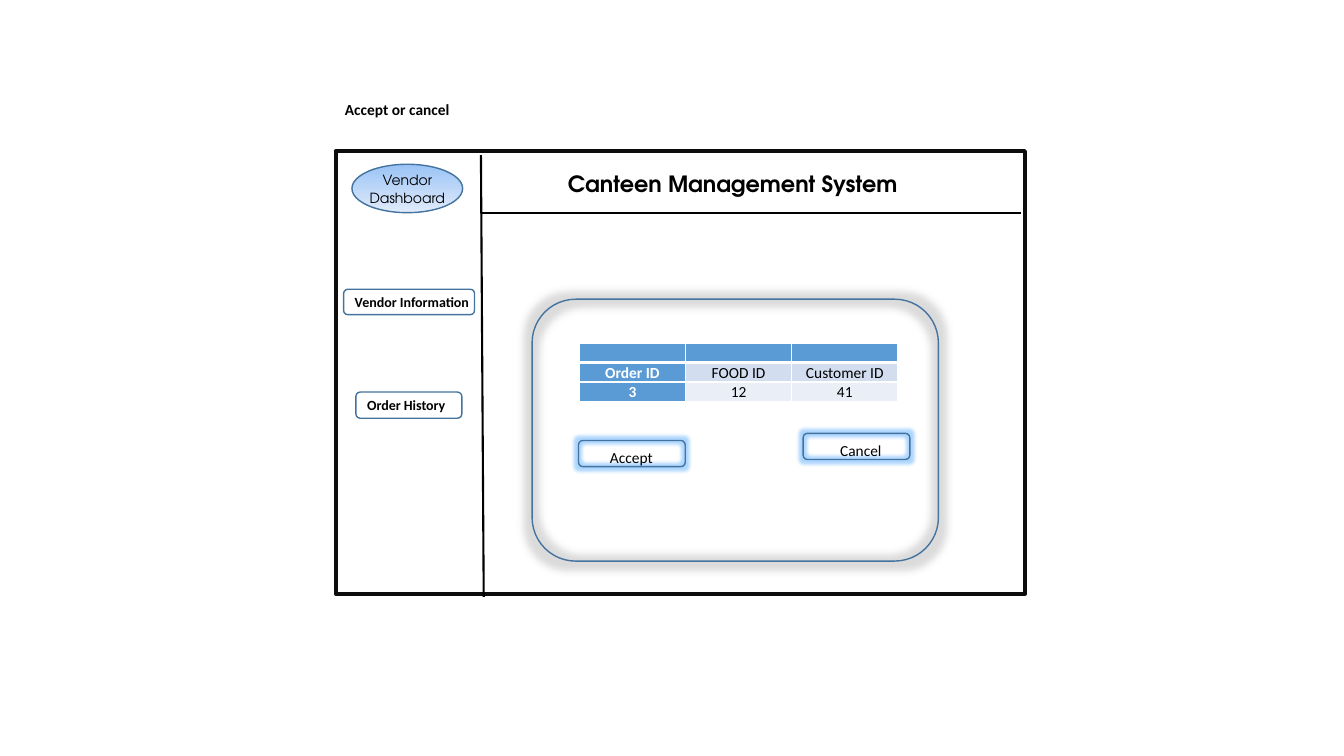
from dataclasses import dataclass
from typing import NamedTuple

from lxml.etree import SubElement
from pptx import Presentation
from pptx.dml.color import RGBColor
from pptx.enum.shapes import MSO_CONNECTOR, MSO_SHAPE
from pptx.enum.text import MSO_ANCHOR, PP_ALIGN
from pptx.oxml.ns import qn
from pptx.util import Cm, Pt


@dataclass(frozen=True)
class Theme:
    """Colours, fonts and type sizes of the slide."""
    black: str = "000000"
    white: str = "FFFFFF"
    frame: str = "0D0D0D"
    outline: str = "43739E"
    accent: str = "5B9BD5"
    bands: tuple = ("D2DEEF", "EAEFF7")
    badge: tuple = ("9AC3F5", "E1EBFB")
    panel_glow: str = "A5A5A5"
    button_glow: str = "3399FF"
    body_font: str = "Calibri"
    display_font: str = "TeX Gyre Adventor"
    small: int = 10
    body: int = 11
    heading: int = 16


class Box(NamedTuple):
    """A rectangle in centimetres."""
    left: float
    top: float
    width: float
    height: float

    def inner(self, left, top, width, height):
        """Return a box placed relative to this one."""
        return Box(self.left + left, self.top + top, width, height)

    def lengths(self):
        """Return the four values as lengths."""
        return [Cm(value) for value in self]


THEME = Theme()


def write(frame, text, size, font=THEME.body_font, color=THEME.black, bold=False,
          align=PP_ALIGN.LEFT, margins=(0, 0, 0, 0), spacing=1.0):
    """Put one formatted, vertically centred paragraph into a text frame."""
    frame.text = text
    frame.word_wrap = False
    frame.vertical_anchor = MSO_ANCHOR.MIDDLE
    (frame.margin_left, frame.margin_top,
     frame.margin_right, frame.margin_bottom) = [Cm(margin) for margin in margins]
    paragraph = frame.paragraphs[0]
    paragraph.alignment = align
    paragraph.line_spacing = spacing
    for run in paragraph.runs:
        run.font.name, run.font.size, run.font.bold = font, Pt(size), bold
        run.font.color.rgb = RGBColor.from_string(color)


def add_outline(slide, kind, box, color=THEME.outline, weight=1):
    """Add an unfilled preset shape."""
    shape = slide.shapes.add_shape(kind, *box.lengths())
    shape.shadow.inherit = False
    shape.fill.background()
    shape.line.color.rgb = RGBColor.from_string(color)
    shape.line.width = Pt(weight)
    return shape


def add_glow(shape, color, radius):
    """Surround a shape's outline with a soft glow."""
    effects = shape.element.spPr.find(qn("a:effectLst"))
    glow = SubElement(effects, qn("a:glow"), rad=str(Pt(radius)))
    tint = SubElement(glow, qn("a:srgbClr"), val=color)
    SubElement(tint, qn("a:alpha"), val="40000")


def add_rule(slide, box, start, end):
    """Draw a black line between two points relative to the box."""
    points = [Cm(value) for x, y in (start, end) for value in (box.left + x, box.top + y)]
    rule = slide.shapes.add_connector(MSO_CONNECTOR.STRAIGHT, *points)
    rule.line.color.rgb = RGBColor.from_string(THEME.black)
    rule.line.width = Pt(1.5)
    SubElement(rule.element.spPr, qn("a:effectLst"))


def add_title(slide, box):
    """Place the slide title."""
    title = slide.shapes.title
    title.left, title.top, title.width, title.height = box.lengths()
    write(title.text_frame, "Accept or cancel", THEME.body, bold=True)


def add_window(slide, box):
    """Draw the application window, its dividers and its heading."""
    add_outline(slide, MSO_SHAPE.RECTANGLE, box, THEME.frame, 3)
    add_rule(slide, box, (3.66, 0.1), (3.73, 11.23))
    add_rule(slide, box, (3.66, 1.55), (17.27, 1.55))
    heading = slide.shapes.add_textbox(*box.inner(5.85, 0.3, 9, 1.02).lengths())
    write(heading.text_frame, "Canteen Management System", THEME.heading,
          THEME.display_font, bold=True)


def add_sidebar(slide, box):
    """Add the dashboard badge and the menu entries."""
    badge = add_outline(slide, MSO_SHAPE.OVAL, box.inner(0.41, 0.33, 2.79, 1.22))
    badge.fill.gradient()
    badge.fill.gradient_angle = 270
    for stop, color in zip(badge.fill.gradient_stops, THEME.badge):
        stop.color.rgb = RGBColor.from_string(color)
    write(badge.text_frame, "Vendor\vDashboard", THEME.small, THEME.display_font,
          align=PP_ALIGN.CENTER, spacing=1.06)
    entries = (("Vendor Information", (0.2, 3.48, 3.3, 0.64)),
               ("Order History", (0.51, 6.07, 2.67, 0.66)))
    for label, place in entries:
        entry = add_outline(slide, MSO_SHAPE.ROUNDED_RECTANGLE, box.inner(*place))
        write(entry.text_frame, label, THEME.small, bold=True, margins=(0.25, 0, 0, 0))


def add_cell_borders(cell, bottom):
    """Give a cell white borders, with its own bottom weight."""
    properties = cell._tc.get_or_add_tcPr()
    for index, (side, weight) in enumerate(
            (("lnL", 1), ("lnR", 1), ("lnT", 1), ("lnB", bottom))):
        line = SubElement(properties, qn("a:" + side), w=str(Pt(weight)))
        fill = SubElement(line, qn("a:solidFill"))
        SubElement(fill, qn("a:srgbClr"), val=THEME.white)
        properties.insert(index, line)


def add_order_table(slide, box):
    """Add the order table with its blank header row."""
    rows = (("", "", ""), ("Order ID", "FOOD ID", "Customer ID"), ("3", "12", "41"))
    table = slide.shapes.add_table(len(rows), len(rows[0]), *box.lengths()).table
    for row_index, row in enumerate(rows):
        for column_index, text in enumerate(row):
            cell = table.cell(row_index, column_index)
            strong = row_index == 0 or column_index == 0
            color = THEME.accent if strong else THEME.bands[row_index - 1]
            cell.fill.solid()
            cell.fill.fore_color.rgb = RGBColor.from_string(color)
            add_cell_borders(cell, 3 if row_index == 0 else 1)
            write(cell.text_frame, text, THEME.body, bold=strong,
                  color=THEME.white if strong else THEME.black,
                  align=PP_ALIGN.CENTER, spacing=1.06)
            cell.margin_left = cell.margin_right = Cm(0.18)
            cell.margin_top = cell.margin_bottom = 0
            if not text:
                SubElement(cell.text_frame.paragraphs[0]._p, qn("a:endParaRPr"),
                           sz=str(THEME.small * 100))


def add_order_panel(slide, box):
    """Add the glowing panel with the order and its two buttons."""
    panel = add_outline(slide, MSO_SHAPE.ROUNDED_RECTANGLE, box)
    add_glow(panel, THEME.panel_glow, 11)
    add_order_table(slide, box.inner(1.19, 1.12, 8.03, 1.42))
    buttons = (("Accept", 1.17, 3.56, 0.76), ("Cancel", 6.83, 3.38, 0.9))
    for label, left, top, indent in buttons:
        button = add_outline(slide, MSO_SHAPE.ROUNDED_RECTANGLE,
                             box.inner(left, top, 2.69, 0.66))
        add_glow(button, THEME.button_glow, 5)
        write(button.text_frame, label, THEME.body, margins=(indent, 0.18, 0, 0))


def main():
    """Build and save the slide."""
    presentation = Presentation()
    presentation.slide_width, presentation.slide_height = Cm(33.87), Cm(19.05)
    slide = presentation.slides.add_slide(presentation.slide_layouts[5])
    window = Box(8.46, 3.81, 17.37, 11.15)
    add_title(slide, window.inner(0.23, -1.55, 9, 1))
    add_window(slide, window)
    add_sidebar(slide, window.inner(0, 0, 3.66, 11.15))
    add_order_panel(slide, window.inner(4.95, 3.73, 10.24, 6.6))
    presentation.save("out.pptx")


main()
